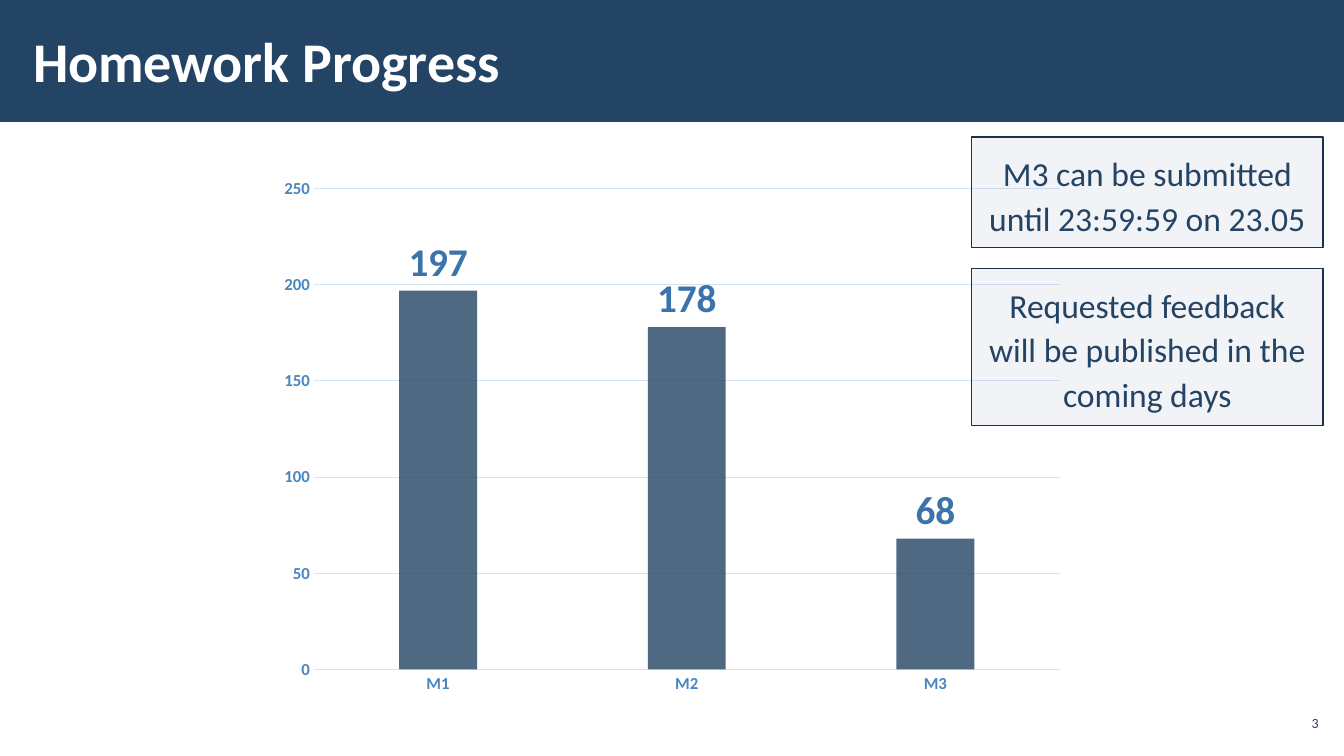
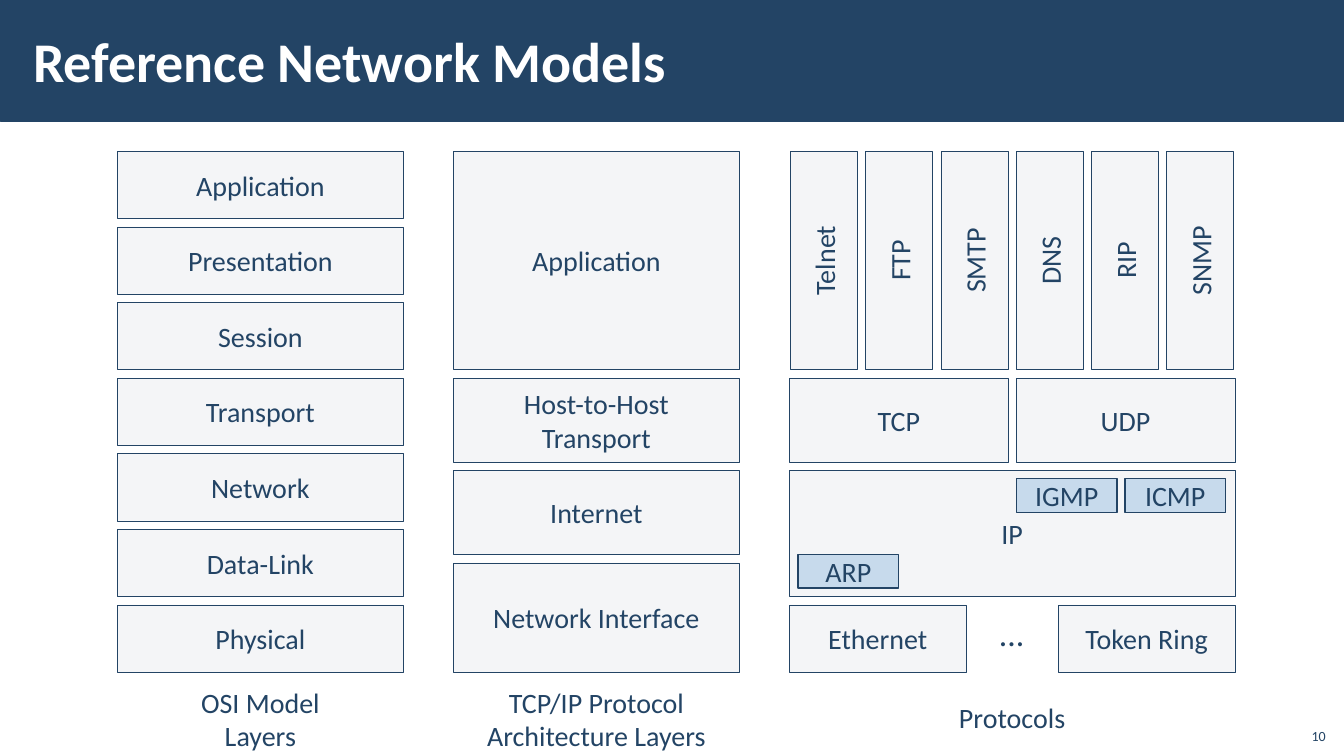
import pptx
import pptx.chart.data
import pptx.dml.color
import pptx.enum.chart
import pptx.enum.shapes
import pptx.enum.text
import pptx.oxml.ns
import pptx.util
from lxml import etree

Pt = pptx.util.Pt
ALIGN = pptx.enum.text.PP_ALIGN
ANCHOR = pptx.enum.text.MSO_ANCHOR
TICK = pptx.enum.chart.XL_TICK_MARK

FONT = "Calibri"
HUES = {
    "navy": "234465", "white": "FFFFFF", "pale": "F4F5F7", "sky": "C7DAEC",
    "haze": "ADB4C3", "edge": "1A334C", "grid": "D5E3F1",
    "axis": "4A85C0", "label": "3B73AA",
}

# Slide 2: every column is built on a pitch of one row plus one gap.
TOP, ROW, GAP = 108, 48, 6
PITCH = ROW + GAP
WIDE = 204
OSI_X, TCP_X, PROT_X = 84, 324, 564
PROT_W = 318
TALL = 3 * PITCH - GAP
MID, MID_H = TOP + 3 * PITCH, 60
NET = MID + MID_H + GAP
BASE = TOP + 6 * PITCH

NOTE = {"hue": "haze", "alpha": 15, "edge": "edge", "weight": 1}
CHIP = {"hue": "sky", "weight": 1}
ROOMY = {"margin_left": Pt(11.5), "margin_right": Pt(11.5),
         "margin_top": Pt(8.6), "margin_bottom": Pt(8.6)}
TIGHT = {"margin_left": Pt(3), "margin_right": Pt(3),
         "margin_top": Pt(3), "margin_bottom": Pt(3)}


def put(item, values):
    """Set each attribute named in values on item."""
    for name, value in values.items():
        setattr(item, name, value)


def shade(part, hue, alpha=100):
    """Give a fill-bearing part a solid colour, with opacity in percent."""
    part.fill.solid()
    part.fill.fore_color.rgb = pptx.dml.color.RGBColor.from_string(HUES[hue])
    if alpha < 100:
        tag = pptx.oxml.ns.qn
        for color in part._element.iter(tag("a:srgbClr")):
            etree.SubElement(color, tag("a:alpha"), val=str(alpha * 1000))
            break


def style(font, size, hue, bold=False):
    put(font, {"name": FONT, "size": Pt(size), "bold": bold})
    font.color.rgb = pptx.dml.color.RGBColor.from_string(HUES[hue])


def trace(line, hue, weight):
    line.color.rgb = pptx.dml.color.RGBColor.from_string(HUES[hue])
    line.width = Pt(weight)


def write(shape, text, size=20, hue="navy", bold=False, align=ALIGN.CENTER,
          space=1, **frame):
    """Fill the text frame; each line of text becomes a paragraph."""
    body = shape.text_frame
    body.text = text
    put(body, {"word_wrap": True, "vertical_anchor": ANCHOR.MIDDLE, **frame})
    for par in body.paragraphs:
        put(par, {"alignment": align, "line_spacing": space})
        for run in par.runs:
            style(run.font, size, hue, bold)


def block(slide, x, y, w, h, hue="pale", alpha=100, edge="navy", weight=0.25):
    rect = pptx.enum.shapes.MSO_SHAPE.RECTANGLE
    shape = slide.shapes.add_shape(rect, Pt(x), Pt(y), Pt(w), Pt(h))
    shape.shadow.inherit = False
    trace(shape.line, edge, weight)
    fill = shape.fill
    fill.solid()
    fill.fore_color.rgb = pptx.dml.color.RGBColor.from_string(HUES[hue])
    if alpha < 100:
        tag = pptx.oxml.ns.qn
        color = shape.element.spPr.find(tag("a:solidFill"))[0]
        etree.SubElement(color, tag("a:alpha"), val=str(alpha * 1000))
    return shape


def cell(slide, text, x, y, w, h, **look):
    shape = block(slide, x, y, w, h, **look)
    write(shape, text)
    return shape


def label(slide, text, x, y, w, h, **form):
    box = slide.shapes.add_textbox(Pt(x), Pt(y), Pt(w), Pt(h))
    write(box, text, **form)


def note(slide, text, y, h):
    shape = block(slide, 694, y, 251, h, **NOTE)
    write(shape, text, 24, space=1.1, word_wrap=False,
          vertical_anchor=ANCHOR.TOP, **ROOMY)


def page(deck, title):
    slide = deck.slides.add_slide(deck.slide_layouts[5])
    head = slide.shapes.title
    put(head, {"left": Pt(15), "top": Pt(8), "width": Pt(765),
               "height": Pt(70)})
    write(head, title, 40, "white", True, ALIGN.LEFT,
          margin_left=Pt(8.6), margin_right=Pt(8.6),
          margin_top=Pt(3), margin_bottom=Pt(3))
    return slide


def brand(deck, slide):
    """Move a title band from the slide into the shared layout."""
    layout = deck.slide_layouts[5]
    for holder in list(layout.placeholders):
        if holder.placeholder_format.idx:
            holder.element.getparent().remove(holder.element)
    band = block(slide, 0, 0, 960, 86.4, hue="navy")
    layout.shapes.element.insert(2, band.element)


def graph(slide, cats, vals):
    data = pptx.chart.data.CategoryChartData()
    data.categories = cats
    data.add_series("Series 1", vals)
    kind = pptx.enum.chart.XL_CHART_TYPE.COLUMN_CLUSTERED
    chart = slide.shapes.add_chart(
        kind, Pt(191.5), Pt(120), Pt(577), Pt(383), data).chart
    put(chart, {"has_legend": False, "has_title": False})
    style(chart.font, 10, "navy")

    plot = chart.plots[0]
    put(plot, {"gap_width": 219, "overlap": -27, "vary_by_categories": False,
               "has_data_labels": True})
    place = pptx.enum.chart.XL_LABEL_POSITION.OUTSIDE_END
    put(plot.data_labels, {"show_value": True, "position": place})
    style(plot.data_labels.font, 28, "label", True)

    bars = plot.series[0].format
    bars.fill.solid()
    bars.fill.fore_color.rgb = pptx.dml.color.RGBColor.from_string(HUES["navy"])
    tag = pptx.oxml.ns.qn
    color = next(plot.series[0]._element.iter(tag("a:srgbClr")))
    etree.SubElement(color, tag("a:alpha"), val="80000")

    for axis in (chart.category_axis, chart.value_axis):
        put(axis, {"major_tick_mark": TICK.NONE, "minor_tick_mark": TICK.NONE})
        style(axis.tick_labels.font, 12, "axis", True)
    trace(chart.category_axis.format.line, "grid", 0.75)
    scale = chart.value_axis
    put(scale, {"minimum_scale": 0, "maximum_scale": 250, "major_unit": 50,
                "has_major_gridlines": True})
    scale.format.line.fill.background()
    trace(scale.major_gridlines.format.line, "grid", 0.75)


def homework(deck):
    slide = page(deck, "Homework Progress")
    brand(deck, slide)
    label(slide, "3", 911, 504, 34, 24.5, size=10, align=ALIGN.RIGHT, **TIGHT)
    graph(slide, ["M1", "M2", "M3"], [197, 178, 68])
    note(slide, "M3 can be submitted\nuntil 23:59:59 on 23.05", 98, 79)
    note(slide, "Requested feedback\nwill be published in the\ncoming days",
         192, 112)


def models(deck):
    slide = page(deck, "Reference Network Models")
    layers = ["Application", "Presentation", "Session", "Transport",
              "Network", "Data-Link", "Physical"]
    for i, name in enumerate(layers):
        cell(slide, name, OSI_X, TOP + i * PITCH, WIDE, ROW)

    y = TOP
    for name, h in [("Application", TALL), ("Host-to-Host\nTransport", MID_H),
                    ("Internet", MID_H), ("Network Interface", 78)]:
        cell(slide, name, TCP_X, y, WIDE, h)
        y += h + GAP

    for i, name in enumerate(["Telnet", "FTP", "SMTP", "DNS", "RIP", "SNMP"]):
        mid = PROT_X + 24.5 + i * 53.75
        turned = cell(slide, name, mid - TALL / 2, TOP + (TALL - ROW) / 2,
                      TALL, ROW)
        turned.rotation = 270

    half = (PROT_W - GAP) / 2
    for i, name in enumerate(["TCP", "UDP"]):
        cell(slide, name, PROT_X + i * (half + GAP), MID, half, MID_H)
    cell(slide, "IP", PROT_X, NET, PROT_W, 90)
    for name, x, y in [("ARP", 570, 396), ("IGMP", 726, 342),
                       ("ICMP", 803.5, 342)]:
        cell(slide, name, x, y, 72, 24, **CHIP)
    for name, x in [("Ethernet", PROT_X), ("Token Ring", PROT_X + 192)]:
        cell(slide, name, x, BASE, 126, ROW)
    label(slide, "...", 702, 426, 42, 49, size=24, align=ALIGN.LEFT,
          space=1.1, vertical_anchor=ANCHOR.TOP, **ROOMY)

    for text, x, y, w, h in [
            ("OSI Model\nLayers", OSI_X, 486, WIDE, 55.5),
            ("TCP/IP Protocol\nArchitecture Layers", TCP_X, 486, WIDE, 55.5),
            ("Protocols", PROT_X, 497, PROT_W, 31.5)]:
        label(slide, text, x, y, w, h, word_wrap=False,
              vertical_anchor=ANCHOR.TOP)
    label(slide, "10", 925, 512.5, 29, 23, size=10, align=ALIGN.RIGHT,
          vertical_anchor=ANCHOR.BOTTOM)


def main():
    deck = pptx.Presentation()
    put(deck, {"slide_width": Pt(960), "slide_height": Pt(540)})
    homework(deck)
    models(deck)
    deck.save("out.pptx")


if __name__ == "__main__":
    main()
